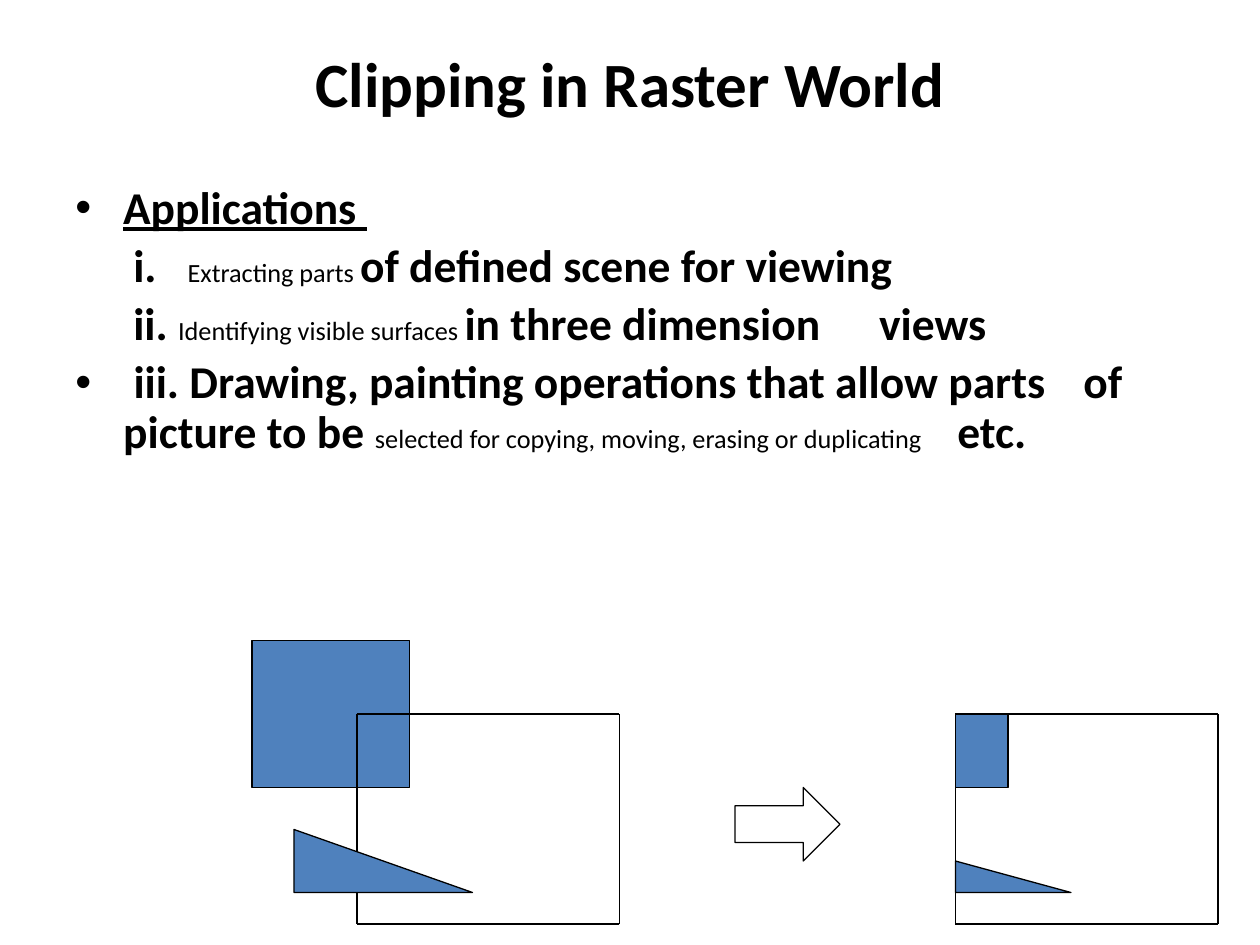
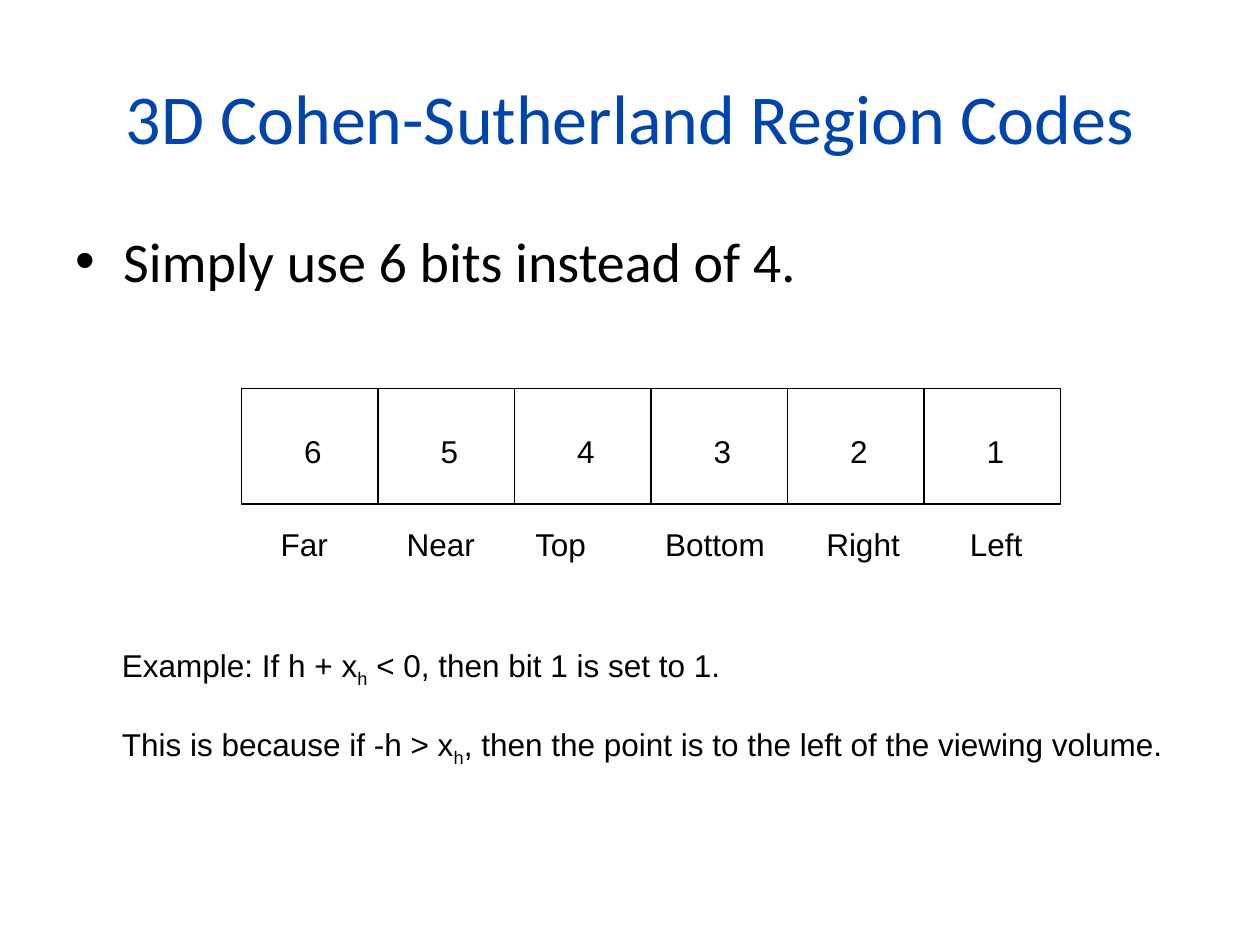
from pptx import Presentation, util as u
from pptx.dml.color import RGBColor
from pptx.enum import shapes, text
from pptx.oxml.ns import qn
from lxml import etree

BLACK, BLUE, NAVY = "000000", "4F81BD", "0044AC"
GRID = u.Inches(1) // 12          # the slide is 120 columns by 90 rows
SHAPE = shapes.MSO_SHAPE

prs = Presentation()
prs.slide_width, prs.slide_height = 120 * GRID, 90 * GRID


def style(font, size, color=BLACK, bold=False, name="Calibri"):
    font.name, font.size, font.bold = name, u.Pt(size), bold
    font.color.rgb = RGBColor.from_string(color)


def add_xml(parent, tag, **attrs):
    return etree.SubElement(parent, qn(tag), {k: str(v) for k, v in attrs.items()})


# Titles, bodies and shapes of both slides
titles = [("Clipping in Raster World", 36, BLACK, True, text.MSO_ANCHOR.TOP),
          ("3D Cohen-Sutherland Region Codes", 40, NAVY, False, text.MSO_ANCHOR.MIDDLE)]
# One paragraph: bulleted, tab stops in inches, runs of (text, size, bold)
bodies = [
    (1.42, 2.42, 0.9, 5.2, [
        (True, [], [("Applications ", 26, True)]),
        (False, [0.46, 0.89], [("\ti.\t", 26, True), ("Extracting parts ", 15, False),
                               ("of defined scene for viewing", 26, True)]),
        (False, [0.46, 6.38], [("\tii. ", 26, True), ("Identifying visible surfaces ", 15, False),
                               ("in three dimension\tviews", 26, True)]),
        (True, [], [(" iii. Drawing, painting operations that allow parts \tof picture to be ", 26, True),
                    ("selected for copying, moving, erasing or duplicating", 15, False),
                    ("\tetc.", 26, True)]),
    ]),
    (1.75, 1.5, 1, 0, [(True, [], [("Simply use 6 bits instead of 4.", 32, False)])]),
]
# Shape, fill, then left, top, width and height on the grid
clipping = [
    (SHAPE.RECTANGLE, BLUE, 24, 61, 15, 14),
    ("window", None, 34, 68, 25, 20),
    (SHAPE.RECTANGLE, BLUE, 91, 68, 5, 7),
    ("window", None, 91, 68, 25, 20),
    (SHAPE.RIGHT_TRIANGLE, BLUE, 28, 79, 17, 6),
    (SHAPE.RIGHT_TRIANGLE, BLUE, 91, 82, 11, 3),
    (SHAPE.RIGHT_ARROW, None, 70, 75, 10, 7),
]
bit_cells = [(SHAPE.RECTANGLE, None, 23 + 13 * i, 37, 13, 11) for i in range(6)]

cells = []
for title, body, drawing in zip(titles, bodies, [clipping, bit_cells]):
    s = prs.slides.add_slide(prs.slide_layouts[5])

    words, size, color, bold, anchor = title
    sp = s.shapes.title
    sp.left, sp.top, sp.width, sp.height = (u.Inches(n) for n in (0.5, 0.3, 9, 1.25))
    tf = sp.text_frame
    tf.text, tf.vertical_anchor, tf.auto_size = words, anchor, text.MSO_AUTO_SIZE.NONE
    style(tf.paragraphs[0].font, size, color, bold)

    top, height, line_spacing, space, paragraphs = body
    tf = s.shapes.add_textbox(*(u.Inches(n) for n in (0.5, top, 9, height))).text_frame
    tf.word_wrap = True
    for i, (bulleted, stops, runs) in enumerate(paragraphs):
        p = tf.add_paragraph() if i else tf.paragraphs[0]
        p.line_spacing, p.space_before = line_spacing, u.Pt(space if i else 0)
        pPr = p._p.get_or_add_pPr()
        if bulleted:
            pPr.set("marL", str(u.Inches(0.38)))
            pPr.set("indent", str(u.Inches(-0.38)))
            add_xml(pPr, "a:buFont", typeface="Arial")
            add_xml(pPr, "a:buChar", char="•")
        if stops:
            tab_list = add_xml(pPr, "a:tabLst")
            for stop in stops:
                add_xml(tab_list, "a:tab", pos=u.Inches(stop), algn="l")
        for words, size, bold in runs:
            r = p.add_run()
            r.text = words
            style(r.font, size, bold=bold)
            r.font.underline = words == "Applications "

    for kind, fill, *place in drawing:
        x, y, w, h = (n * GRID for n in place)
        if kind == "window":
            corners = [(x, y), (x + w, y), (x + w, y + h), (x, y + h)]
            for start, end in zip(corners, corners[1:] + corners[:1]):
                line = s.shapes.add_connector(shapes.MSO_CONNECTOR.STRAIGHT, *start, *end)
                line.line.width = u.Pt(0.75)
                line.line.color.rgb = RGBColor.from_string(BLACK)
                add_xml(line._element.spPr, "a:effectLst")
            continue
        sp = s.shapes.add_shape(kind, x, y, w, h)
        sp.shadow.inherit = False
        sp.line.width = u.Pt(0.75)
        sp.line.color.rgb = RGBColor.from_string(BLACK)
        if fill:
            sp.fill.solid()
            sp.fill.fore_color.rgb = RGBColor.from_string(fill)
        else:
            sp.fill.background()
        if drawing is bit_cells:
            cells.append(sp)

# Bit numbers, counted from the right
for number, sp in zip(range(6, 0, -1), cells):
    tf = sp.text_frame
    tf.margin_left, tf.margin_top = u.Inches(0.15), u.Inches(0.12)
    tf.vertical_anchor = text.MSO_ANCHOR.MIDDLE
    p = tf.paragraphs[0]
    p.text, p.alignment = str(number), text.PP_ALIGN.CENTER
    style(p.font, 18, name="Arial")

# Bit names below the cells
tf = s.shapes.add_textbox(*(u.Inches(n) for n in (2.13, 4.12, 6.4, 0.4))).text_frame
tf.word_wrap = True
p = tf.paragraphs[0]
p.text = "Far\tNear\tTop\tBottom\tRight\tLeft"
style(p.font, 18, name="Arial")
tab_list = etree.Element(qn("a:tabLst"))
for stop in (1, 2.02, 3.05, 4.33, 5.47):
    add_xml(tab_list, "a:tab", pos=u.Inches(stop), algn="l")
p._p.get_or_add_pPr().insert(0, tab_list)

# Example, with the h of each x as a subscript
tf = s.shapes.add_textbox(*(u.Inches(n) for n in (0.87, 5.08, 8.47, 1))).text_frame
tf.word_wrap = True
example = [("Example: If h + x", " < 0, then bit 1 is set to 1."),
           ("This is because if -h > x", ", then the point is to the left of the viewing volume.")]
for i, (before, after) in enumerate(example):
    p = tf.add_paragraph() if i else tf.paragraphs[0]
    p.space_before = u.Pt(20.7 * i)
    style(p.font, 18, name="Arial")
    for words in (before, "h", after):
        r = p.add_run()
        r.text = words
        if words == "h":
            r.font._element.set("baseline", "-25000")

prs.save("out.pptx")
